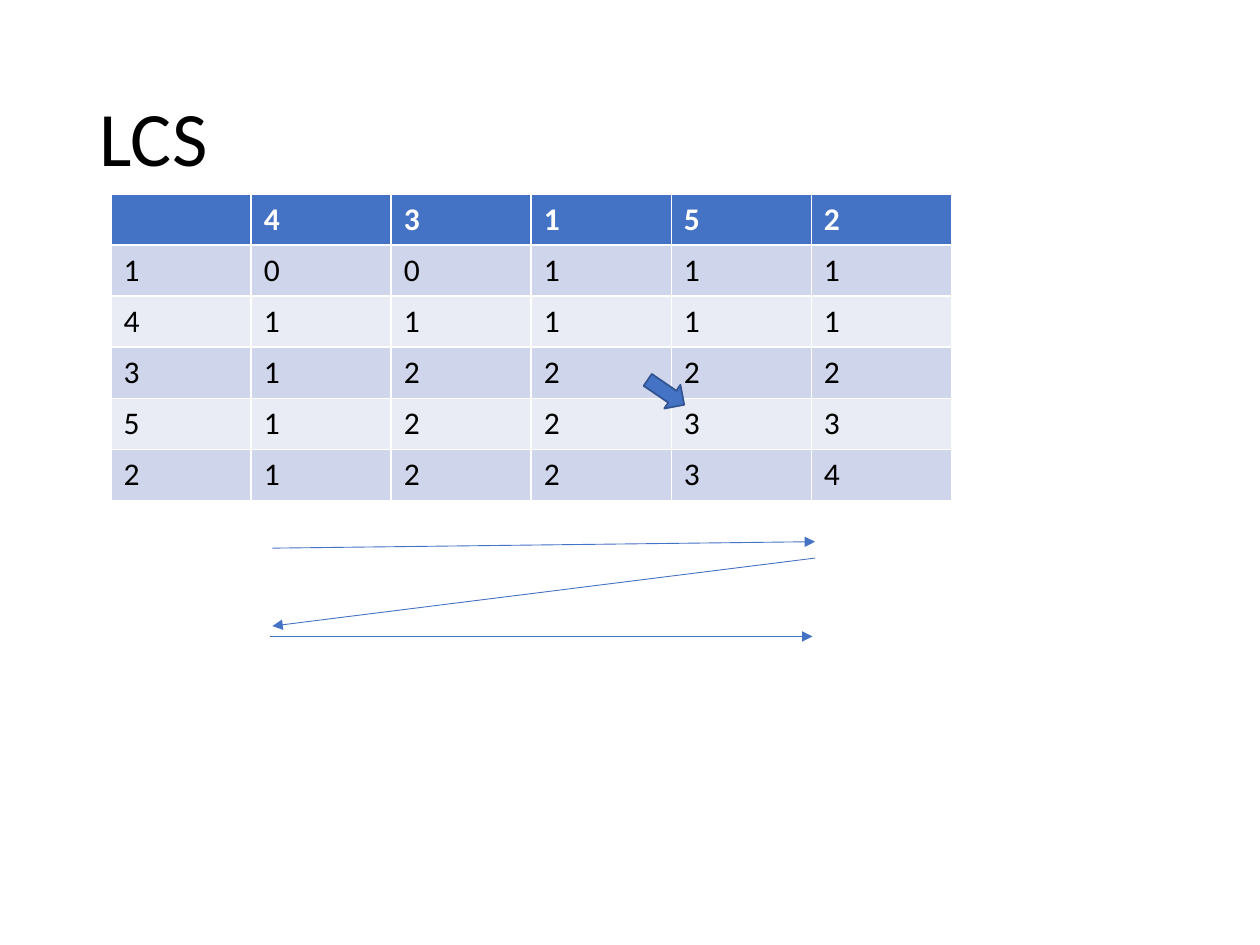
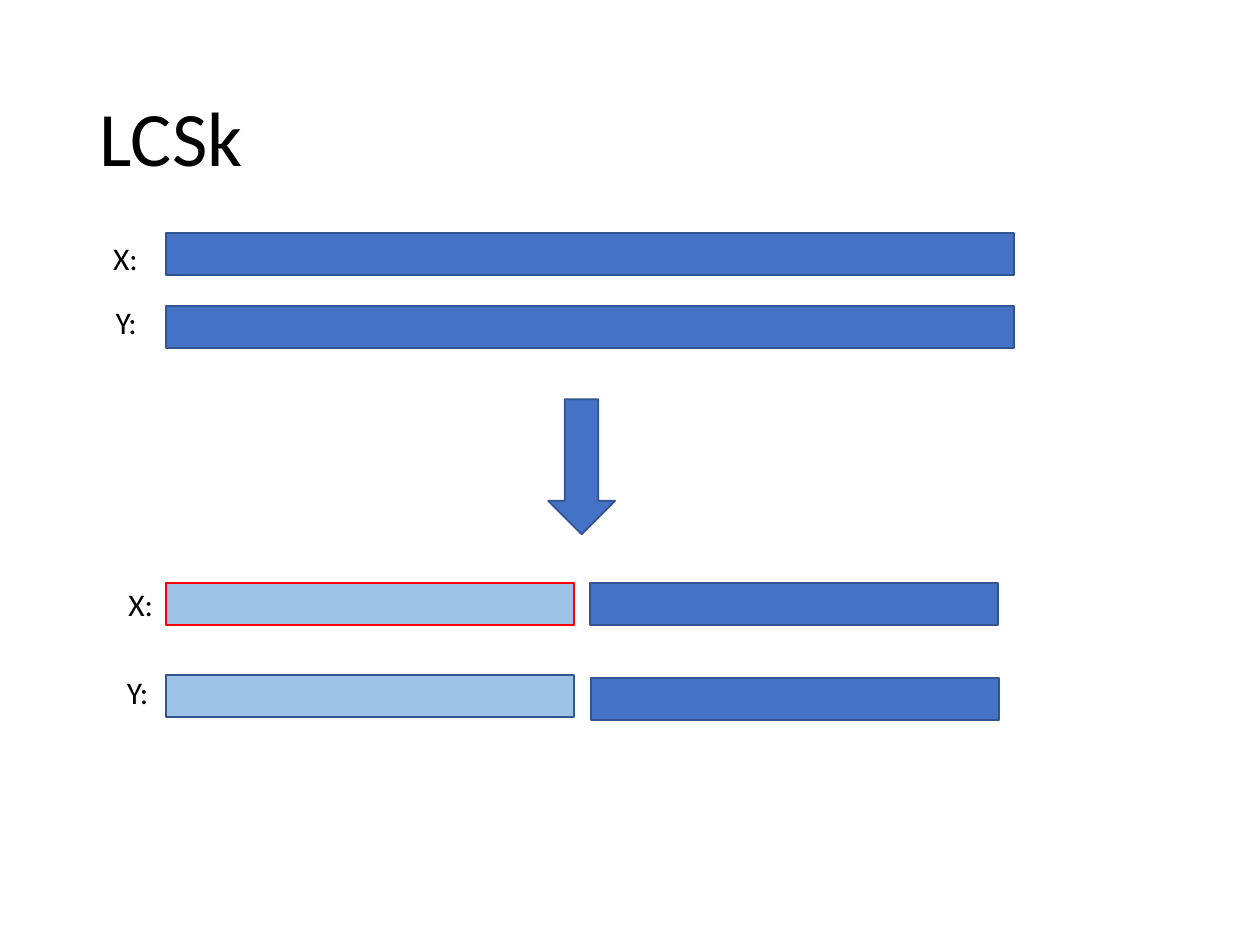
from lxml.etree import SubElement
from pptx import Presentation
from pptx.dml.color import RGBColor
from pptx.enum.shapes import MSO_CONNECTOR, MSO_SHAPE
from pptx.enum.text import MSO_ANCHOR, MSO_AUTO_SIZE, PP_ALIGN
from pptx.oxml.ns import qn
from pptx.util import Cm, Pt

hues = {
    "blue": "4472C4",
    "edge": "325491",
    "light": "9DC3E6",
    "red": "FF0000",
    "odd": "CFD5EA",
    "even": "E9EBF5",
    "white": "FFFFFF",
    "black": "000000",
}
color = {name: RGBColor.from_string(code) for name, code in hues.items()}


def style(text, size, hue="black", bold=False):
    for run in text.paragraphs[0].runs:
        run.font.name = "Calibri"
        run.font.size = Pt(size)
        run.font.bold = bold
        run.font.color.rgb = color[hue]


def draw(slide, kind, left, top, width, height, fill="blue", edge="edge"):
    shape = slide.shapes.add_shape(kind, Cm(left), Cm(top), Cm(width), Cm(height))
    shape.shadow.inherit = False
    shape.fill.solid()
    shape.fill.fore_color.rgb = color[fill]
    shape.line.color.rgb = color[edge]
    shape.line.width = Pt(1)
    return shape


deck = Presentation()
deck.slide_width, deck.slide_height = Cm(25.4), Cm(19.05)

slides = []
for name in ("LCS", "LCSk"):
    slide = deck.slides.add_slide(deck.slide_layouts[5])
    title = slide.shapes.title
    title.left, title.top = Cm(1.75), Cm(1.02)
    title.width, title.height = Cm(21.9), Cm(3.68)
    text = title.text_frame
    text.text = name
    text.vertical_anchor = MSO_ANCHOR.MIDDLE
    text.paragraphs[0].alignment = PP_ALIGN.LEFT
    text.paragraphs[0].line_spacing = 0.9
    style(text, 44)
    slides.append(slide)
first, second = slides

rows = [
    ["", "4", "3", "1", "5", "2"],
    ["1", "0", "0", "1", "1", "1"],
    ["4", "1", "1", "1", "1", "1"],
    ["3", "1", "2", "2", "2", "2"],
    ["5", "1", "2", "2", "3", "3"],
    ["2", "1", "2", "2", "3", "4"],
]
grid = first.shapes.add_table(
    len(rows), len(rows[0]), Cm(2.24), Cm(3.91), Cm(16.94), Cm(6.18)
).table
for r, row in enumerate(rows):
    fill = "blue" if r == 0 else "odd" if r % 2 else "even"
    for c, value in enumerate(row):
        cell = grid.cell(r, c)
        cell.fill.solid()
        cell.fill.fore_color.rgb = color[fill]
        cell.text_frame.text = value
        style(cell.text_frame, 18, "white" if r == 0 else "black", r == 0)

scans = [
    (5.49, 11.05, 16.43, 10.92),
    (16.43, 11.25, 5.49, 12.62),
    (5.44, 12.83, 16.38, 12.83),
]
for ends in scans:
    line = first.shapes.add_connector(MSO_CONNECTOR.STRAIGHT, *map(Cm, ends))
    line.line.color.rgb = color["blue"]
    line.line.width = Pt(0.5)
    SubElement(line.line._get_or_add_ln(), qn("a:tailEnd"), type="triangle")
    SubElement(line._element.spPr, qn("a:effectLst"))

step = draw(first, MSO_SHAPE.RIGHT_ARROW, 12.98, 7.62, 0.89, 0.58)
step.rotation = 34.3

left, high, full, half = 3.35, 0.84, 17.09, 8.23
bars = [
    (left, 4.7, full, "blue", "edge"),
    (left, 6.17, full, "blue", "edge"),
    (left, 13.61, half, "light", "edge"),
    (left, 11.76, half, "light", "red"),
    (11.89, 11.76, half, "blue", "edge"),
    (11.91, 13.67, half, "blue", "edge"),
]
for x, y, width, fill, edge in bars:
    draw(second, MSO_SHAPE.RECTANGLE, x, y, width, high, fill, edge)
draw(second, MSO_SHAPE.DOWN_ARROW, 11.05, 8.05, 1.35, 2.72)

labels = [
    ("X:", 2.03, 4.7, 1.02),
    ("Y:", 2.08, 5.99, 0.94),
    ("X:", 2.34, 11.66, 1.02),
    ("Y:", 2.31, 13.44, 0.94),
]
for name, x, y, width in labels:
    text = second.shapes.add_textbox(Cm(x), Cm(y), Cm(width), Cm(1.02)).text_frame
    text.text = name
    text.word_wrap = False
    text.auto_size = MSO_AUTO_SIZE.SHAPE_TO_FIT_TEXT
    style(text, 18)

deck.save("out.pptx")
